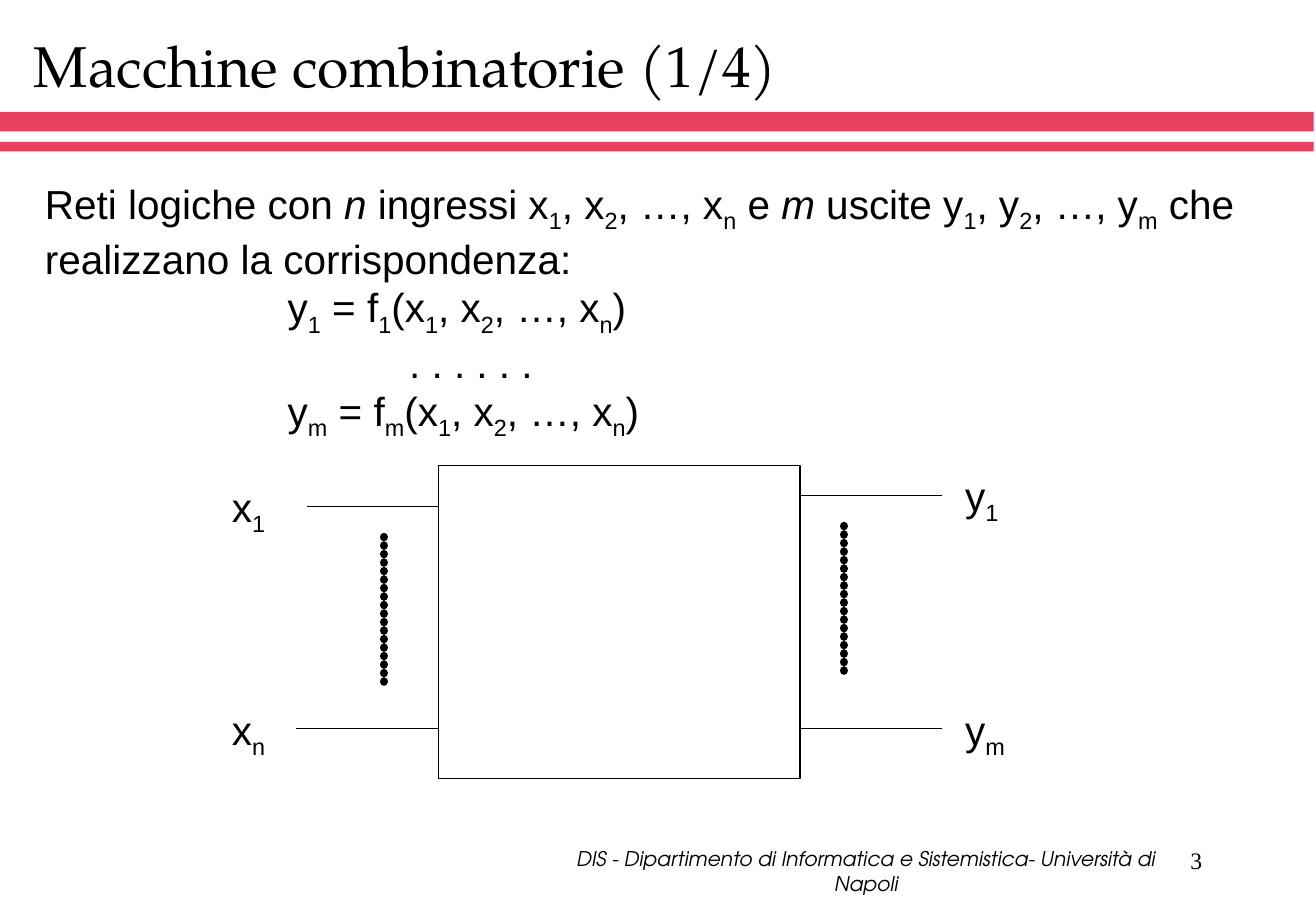
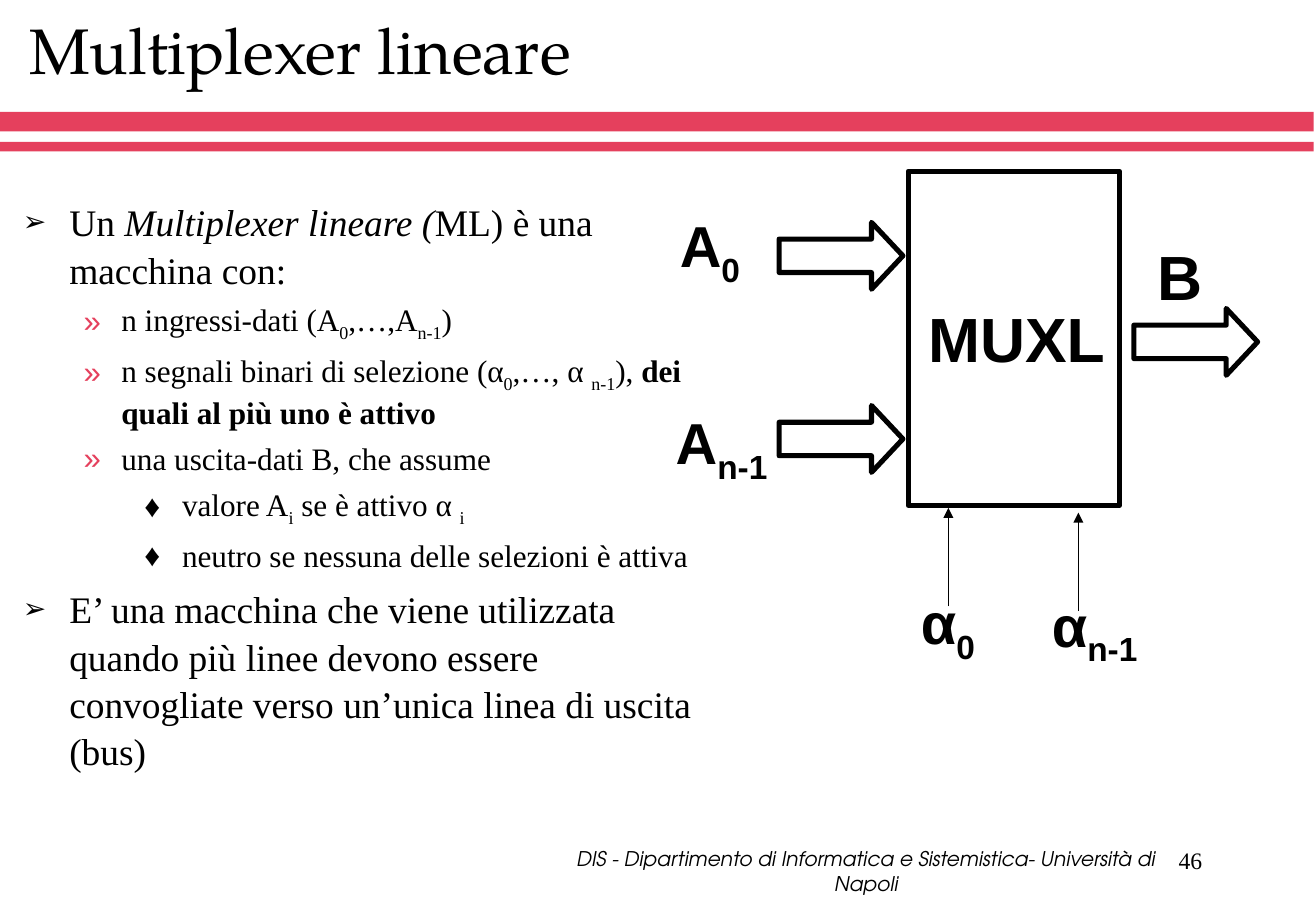
from lxml import etree
from pptx import Presentation
from pptx import util as u
from pptx.dml.color import RGBColor
from pptx.enum import shapes, text
from pptx.oxml import ns

BLACK = RGBColor(0, 0, 0)
WHITE = RGBColor(255, 255, 255)
CRIMSON = RGBColor(0xE5, 0x40, 0x5D)
SANS = "Arial"
SERIF = "Times New Roman"
TITLE_FONT = "TeX Gyre Pagella"
FOOTER_FONT = "TeX Gyre Adventor"
FOOTER = "DIS - Dipartimento di Informatica e Sistemistica- Università di Napoli"
STYLE_MARKS = "_*^"

ALIGN = text.PP_ALIGN
ANCHOR = text.MSO_ANCHOR


def cm(*lengths):
    return [u.Cm(length) for length in lengths]


def add_xml(parent, tag, **attributes):
    return etree.SubElement(parent, ns.qn(tag), attributes)


def add_runs(paragraph, marked):
    """_ toggles subscript, * italic and ^ bold."""
    active, pending = set(), ""
    for character in marked + "\n":
        if character not in STYLE_MARKS + "\n":
            pending += character
            continue
        if pending:
            run = paragraph.add_run()
            run.text = pending
            if "_" in active:
                run._r.get_or_add_rPr().set("baseline", "-25000")
            if "*" in active:
                run.font.italic = True
            if "^" in active:
                run.font.bold = True
            pending = ""
        active ^= {character}


def set_font(paragraph, name, size, bold=False, italic=False):
    font = paragraph.font
    font.name, font.size = name, u.Pt(size)
    font.bold, font.italic = bold, italic
    font.color.rgb = BLACK


def add_frame(slide, box, anchor=ANCHOR.TOP, side_margin=0.25):
    frame = slide.shapes.add_textbox(*cm(*box)).text_frame
    frame.word_wrap = True
    frame.vertical_anchor = anchor
    frame.margin_left = frame.margin_right = u.Cm(side_margin)
    return frame


def add_label(slide, box, marked, name, size, align=ALIGN.LEFT, anchor=ANCHOR.TOP,
              side_margin=0.25, spacing=1.0, **style):
    paragraph = add_frame(slide, box, anchor, side_margin).paragraphs[0]
    paragraph.alignment = align
    paragraph.line_spacing = spacing
    set_font(paragraph, name, size, **style)
    add_runs(paragraph, marked)


def add_block(slide, kind, box, fill=None, line=None):
    shape = slide.shapes.add_shape(kind, *cm(*box))
    shape.shadow.inherit = False
    if fill is None:
        shape.fill.background()
    else:
        shape.fill.solid()
        shape.fill.fore_color.rgb = fill
    if line is None:
        shape.line.fill.background()
    else:
        shape.line.color.rgb = BLACK
        shape.line.width = u.Pt(line)
    return shape


def add_line(slide, start, end, width=0.75, arrow=False, dotted=False):
    line = slide.shapes.add_connector(shapes.MSO_CONNECTOR.STRAIGHT, *cm(*start, *end))
    line.line.color.rgb = BLACK
    line.line.width = u.Pt(width)
    outline = line.line._get_or_add_ln()
    if dotted:
        outline.set("cap", "rnd")
        dashes = add_xml(outline, "a:custDash")
        add_xml(dashes, "a:ds", d="100000", sp="1000")
    if arrow:
        add_xml(outline, "a:tailEnd", type="triangle")
    add_xml(line._element.spPr, "a:effectLst")


def new_slide(presentation, title, title_box, title_size, number, title_spacing=1.0):
    slide = presentation.slides.add_slide(presentation.slide_layouts[6])
    for top, height in ((2.34, 0.41), (2.97, 0.2)):
        add_block(slide, shapes.MSO_SHAPE.RECTANGLE, (0, top, 27.48, height), CRIMSON)
    add_label(slide, (11.43, 17.83, 13.39, 0.76), FOOTER, FOOTER_FONT, 12,
              ALIGN.CENTER, ANCHOR.MIDDLE, italic=True)
    add_label(slide, (19.69, 17.35, 5.71, 1.27), str(number), SERIF, 14,
              ALIGN.RIGHT, ANCHOR.MIDDLE)
    add_label(slide, title_box, title, TITLE_FONT, title_size,
              anchor=ANCHOR.BOTTOM, spacing=title_spacing)
    return slide


def add_definition(slide, box):
    inputs = "x_1_, x_2_, …, x_n_"
    lines = (
        (f"Reti logiche con *n* ingressi {inputs} e *m* uscite y_1_, y_2_, …, y_m_ "
         "che realizzano la corrispondenza:", 0),
        (f"y_1_ = f_1_({inputs})", 5.08),
        (". . . . . .", 7.62),
        (f"y_m_ = f_m_({inputs})", 5.08),
    )
    frame = add_frame(slide, box)
    for index, (marked, indent) in enumerate(lines):
        paragraph = frame.add_paragraph() if index else frame.paragraphs[0]
        properties = paragraph._p.get_or_add_pPr()
        properties.set("marL", str(u.Cm(indent)))
        properties.set("indent", "0")
        set_font(paragraph, SANS, 24)
        add_runs(paragraph, marked)


def add_network(slide, box):
    left, top, width, height = box
    right = left + width
    add_block(slide, shapes.MSO_SHAPE.RECTANGLE, box, line=0.75)
    last = top + 5.51
    sides = (
        (left, top + 0.86, (-2.74, -2.97), -4.57, -1.14, ("x_1_", "x_n_")),
        (right, top + 0.63, (2.97, 2.97), 3.2, 0.91, ("y_1_", "y_m_")),
    )
    for edge, first, reaches, label_offset, dots_offset, names in sides:
        for y, reach, name in zip((first, last), reaches, names):
            add_line(slide, (edge, y), (edge + reach, y))
            add_label(slide, (edge + label_offset, y - 0.63, 1.83, 1.42), name, SANS, 24)
        dots_x, dots_top = edge + dots_offset, first + 0.64
        add_line(slide, (dots_x, dots_top), (dots_x, dots_top + 3.17), 5, dotted=True)


BULLETS = (
    dict(left=0.97, hang=0.97, before=6, size=22.2, spacing=1.05,
         mark="➢", color=BLACK, scale=75),
    dict(left=2.06, hang=0.79, before=5, size=18.5, spacing=1.0,
         mark="»", color=CRIMSON, scale=100),
    dict(left=3.33, hang=0.79, before=5, size=18.5, spacing=1.0,
         mark="♦", color=BLACK, scale=100),
)


def add_bullets(slide, box, items):
    frame = add_frame(slide, box)
    for index, (level, marked) in enumerate(items):
        style = BULLETS[level]
        paragraph = frame.add_paragraph() if index else frame.paragraphs[0]
        paragraph.level = level
        properties = paragraph._p.get_or_add_pPr()
        properties.set("marL", str(u.Cm(style["left"])))
        properties.set("indent", str(-u.Cm(style["hang"])))
        color = add_xml(properties, "a:buClr")
        add_xml(color, "a:srgbClr", val=str(style["color"]))
        add_xml(properties, "a:buSzPct", val=str(style["scale"] * 1000))
        add_xml(properties, "a:buFont", typeface=SANS)
        add_xml(properties, "a:buChar", char=style["mark"])
        paragraph.space_before = u.Pt(style["before"] if index else 0)
        paragraph.line_spacing = style["spacing"]
        set_font(paragraph, SERIF, style["size"])
        add_runs(paragraph, marked)


def add_multiplexer(slide, box):
    left, top, width, height = box
    add_block(slide, shapes.MSO_SHAPE.RECTANGLE, box, WHITE, 3)
    for dx, dy in ((-2.7, 1.07), (-2.7, 4.9), (width + 0.3, 2.87)):
        arrow = add_block(slide, shapes.MSO_SHAPE.RIGHT_ARROW,
                          (left + dx, top + dy, 2.59, 1.4), WHITE, 3)
        arrow.adjustments[0], arrow.adjustments[1] = 0.5, 0.47
    for dx, gap in ((0.84, 0.05), (3.56, 0.15)):
        x, tip = left + dx, top + height + gap
        add_line(slide, (x, tip + 2.06), (x, tip), arrow=True)
    labels = (
        ("MUXL", 0.18, 2.57, 4.17, 37, 1.0),
        ("B", 4.6, 1.27, 2.16, 37, 1.0),
        ("A_0_", -5.23, 0.71, 2.16, 34.2, 0.9),
        ("A_n-1_", -5.44, 4.83, 3.07, 34.2, 0.9),
        ("α_0_", -0.25, 8.59, 2.16, 34.2, 0.9),
        ("α_n-1_", 2.82, 8.64, 2.16, 34.2, 0.9),
    )
    for marked, dx, dy, label_width, size, spacing in labels:
        add_label(slide, (left + dx, top + dy, label_width, 1.96), marked, SANS, size,
                  ALIGN.CENTER, side_margin=0, spacing=spacing, bold=True)


def build_combinational(presentation):
    slide = new_slide(presentation, "Macchine combinatorie (1/4)",
                      (0.46, 0.43, 26.59, 1.78), 34, 3, 0.9)
    add_definition(slide, (0.69, 3.61, 26.82, 5.77))
    add_network(slide, (9.17, 9.73, 7.57, 6.55))


def build_multiplexer(presentation):
    slide = new_slide(presentation, "Multiplexer lineare", (0.36, 0.71, 24.1, 1.24), 38, 46)
    add_bullets(slide, (0.23, 4, 14.71, 13.17), (
        (0, "Un *Multiplexer lineare (*ML) è una macchina con:"),
        (1, "n ingressi-dati (A_0_,…,A_n-1_)"),
        (1, "n segnali binari di selezione (α_0_,…, α _n-1_), ^dei quali al più uno è attivo^"),
        (1, "una uscita-dati B, che assume"),
        (2, "valore A_i_ se è attivo α _i_"),
        (2, "neutro se nessuna delle selezioni è attiva"),
        (0, "E’ una macchina che viene utilizzata quando più linee devono essere "
            "convogliate verso un’unica linea di uscita (bus)"),
    ))
    add_multiplexer(slide, (19, 3.58, 4.42, 6.99))


def main():
    presentation = Presentation()
    presentation.slide_width, presentation.slide_height = cm(27.53, 19.05)
    build_combinational(presentation)
    build_multiplexer(presentation)
    presentation.save("out.pptx")


if __name__ == "__main__":
    main()
